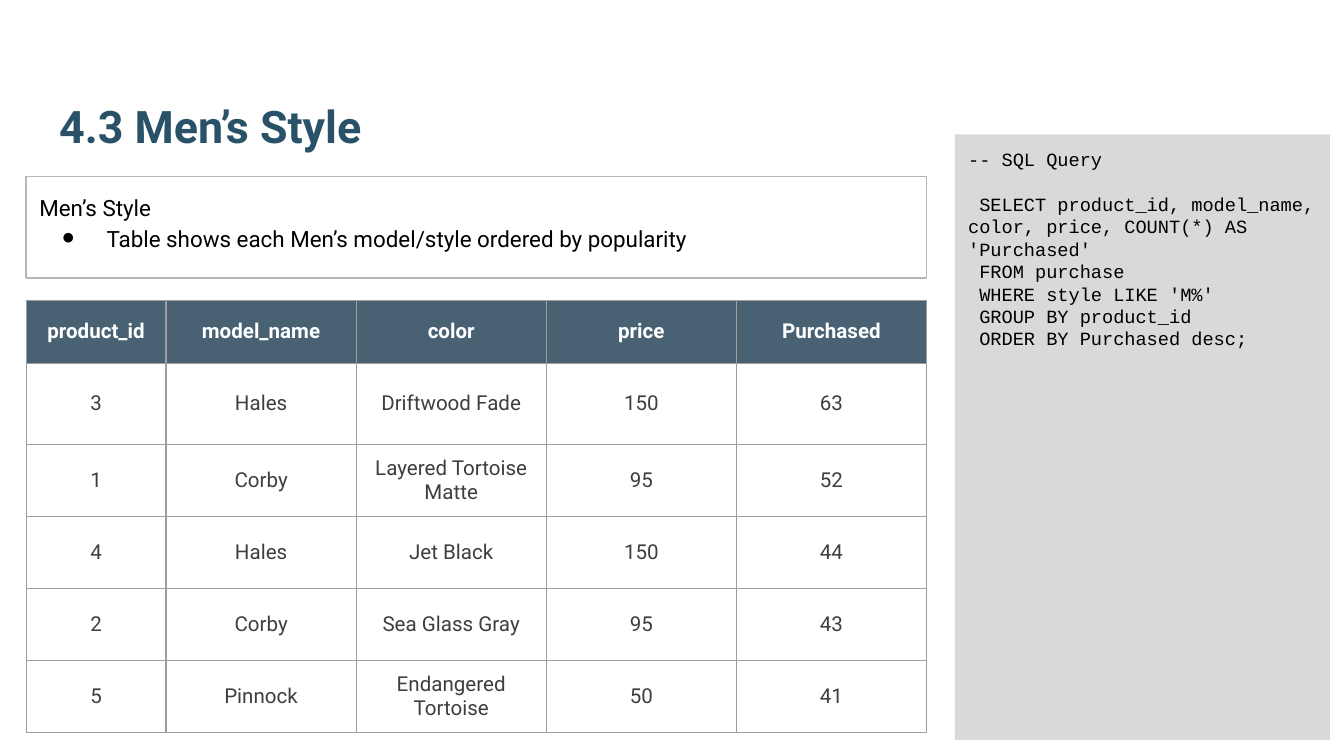
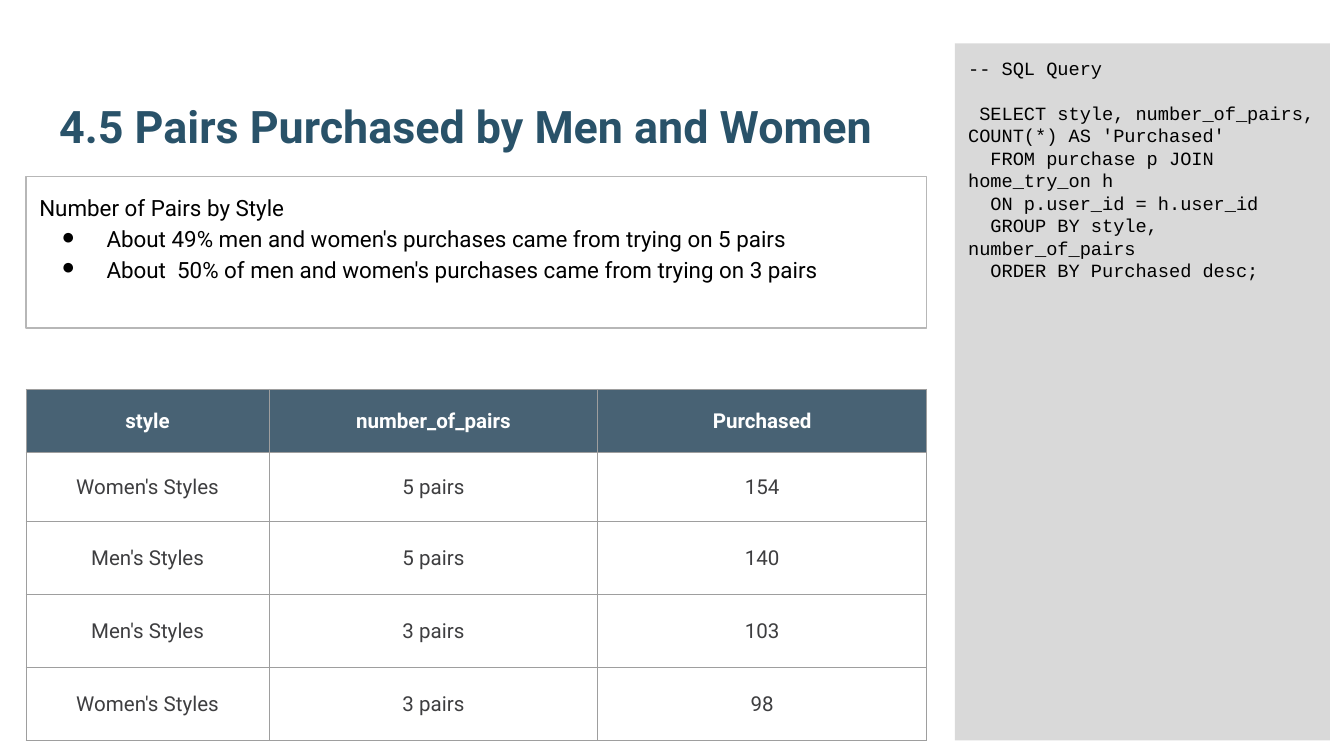
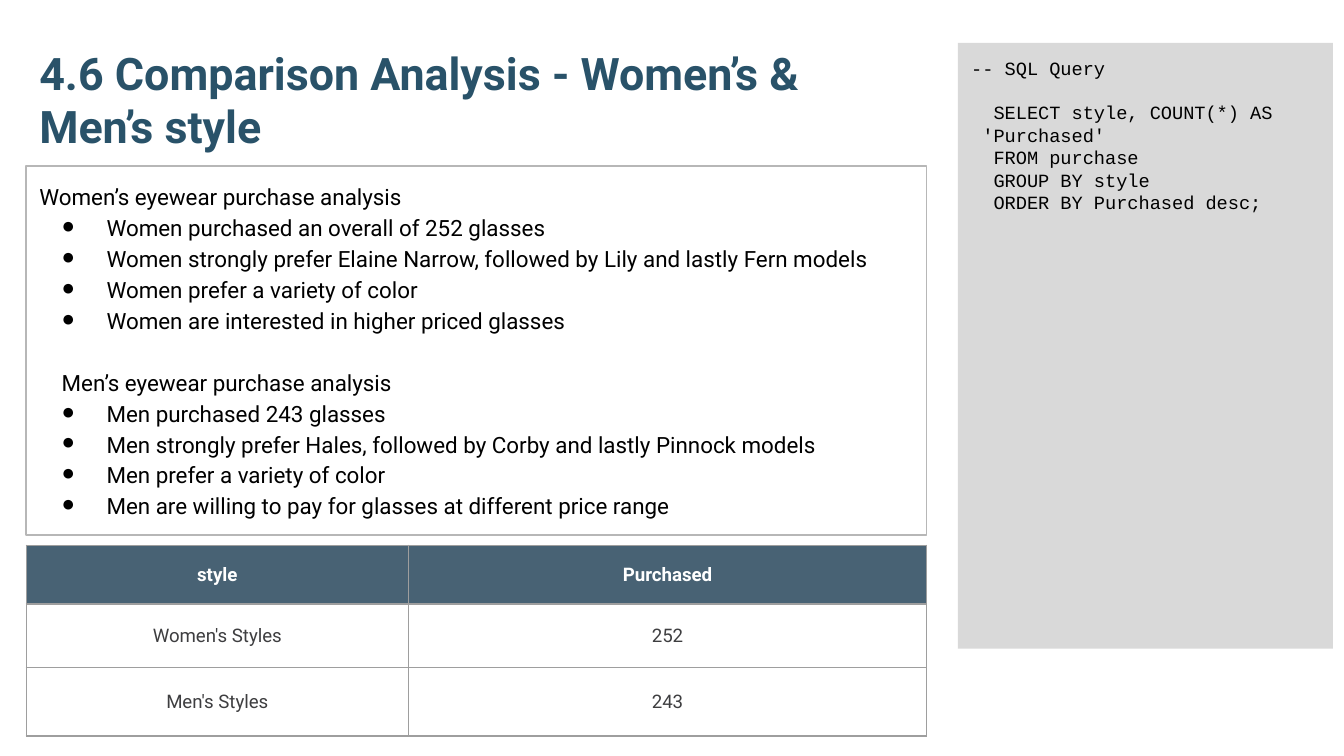
from lxml import etree
from pptx import Presentation
from pptx.dml.color import RGBColor
from pptx.enum.shapes import MSO_SHAPE
from pptx.enum.text import MSO_ANCHOR, PP_ALIGN
from pptx.oxml.ns import qn
from pptx.util import Pt

RECTANGLE = MSO_SHAPE.RECTANGLE
TOP, MIDDLE, BOTTOM = MSO_ANCHOR.TOP, MSO_ANCHOR.MIDDLE, MSO_ANCHOR.BOTTOM
ALIGN_LEFT, CENTER = PP_ALIGN.LEFT, PP_ALIGN.CENTER

# Shared colours and text formats
HEADER_FILL, HEADER_ALPHA = "204056", 82
GRID_COLOR, FRAME_COLOR, CODE_FILL = "9E9E9E", "B7B7B7", "D9D9D9"
BLACK = "000000"
BULLET_FONT = "Courier New"
TITLE_FONT = {"name": "Roboto", "size": Pt(24), "bold": True, "color": "295269"}
NOTE_FONT = {"name": "Roboto", "size": Pt(12), "bold": False, "color": BLACK}
CODE_FONT = {"name": "Courier New", "size": Pt(10), "bold": False, "color": BLACK}
HEADER_FONT = {"name": "Roboto", "bold": True, "color": "FFFFFF"}
BODY_FONT = {"name": "Roboto", "bold": False, "color": "3E3E40"}

# Shared geometry in points
LEFT, WIDTH = 14, 482.4
TITLE_TOP, TITLE_HEIGHT = 23.1, 65.9
CODE_WIDTH = 200.9
INSET, HEADER_INSET, BORDER = 7.2, 6, 0.75
BULLET_INDENT, BULLET_HANG, SUBHEAD_INDENT = 36, 24, 12
NOTE_LINE, CODE_LINE = 16.5, 12


def rgb(value):
    return RGBColor.from_string(value)


def set_all(target, values):
    for name, value in values.items():
        setattr(target, name, value)


def add_run(paragraph, text, font):
    run = paragraph.add_run()
    run.text = text
    set_all(run.font, {key: value for key, value in font.items() if key != "color"})
    run.font.color.rgb = rgb(font["color"])


def set_margins(target, inset):
    sides = ("left", "top", "right", "bottom")
    set_all(target, {f"margin_{side}": Pt(inset) for side in sides})


def prepare_frame(frame, anchor):
    set_margins(frame, INSET)
    set_all(frame, {"word_wrap": True, "vertical_anchor": anchor})


def paragraphs(frame, count):
    return [frame.paragraphs[0]] + [frame.add_paragraph() for _ in range(count - 1)]


def add_panel(slide, box):
    panel = slide.shapes.add_shape(RECTANGLE, *map(Pt, box))
    panel.shadow.inherit = False
    prepare_frame(panel.text_frame, TOP)
    return panel


def indent(paragraph, left, first=0):
    props = paragraph._p.get_or_add_pPr()
    props.set("marL", str(Pt(left)))
    props.set("indent", str(Pt(first)))
    return props


def add_bullet(paragraph):
    props = indent(paragraph, BULLET_INDENT, -BULLET_HANG)
    color = etree.SubElement(props, qn("a:buClr"))
    etree.SubElement(color, qn("a:srgbClr"), val=BLACK)
    etree.SubElement(props, qn("a:buFont"), typeface=BULLET_FONT)
    etree.SubElement(props, qn("a:buChar"), char="●")


def add_title(slide, text, left, width):
    box = (left, TITLE_TOP, width, TITLE_HEIGHT)
    frame = slide.shapes.add_textbox(*map(Pt, box)).text_frame
    prepare_frame(frame, BOTTOM)
    add_run(frame.paragraphs[0], text, TITLE_FONT)


def add_findings(slide, box, groups):
    """Framed panel with a heading and bullets for each group."""
    panel = add_panel(slide, box)
    panel.fill.background()
    panel.line.color.rgb = rgb(FRAME_COLOR)
    panel.line.width = Pt(BORDER)
    lines = [(number, position, text)
             for number, (heading, bullets) in enumerate(groups)
             for position, text in enumerate([heading, *bullets])]
    for paragraph, (number, position, text) in zip(
            paragraphs(panel.text_frame, len(lines)), lines):
        paragraph.alignment = ALIGN_LEFT
        paragraph.line_spacing = 1.15
        if position:
            add_bullet(paragraph)
        elif number:
            paragraph.space_before = Pt(NOTE_LINE)
            indent(paragraph, SUBHEAD_INDENT)
        add_run(paragraph, text, NOTE_FONT)


def add_query(slide, box, lines):
    """Grey panel with the query set one line below its caption."""
    panel = add_panel(slide, box)
    panel.fill.solid()
    panel.fill.fore_color.rgb = rgb(CODE_FILL)
    panel.line.fill.background()
    lines = ["-- SQL Query", *lines]
    for number, paragraph in enumerate(paragraphs(panel.text_frame, len(lines))):
        paragraph.alignment = ALIGN_LEFT
        if number == 1:
            paragraph.space_before = Pt(CODE_LINE)
        add_run(paragraph, lines[number], CODE_FONT)


def add_borders(cell):
    props = cell._tc.get_or_add_tcPr()
    for side in ("lnL", "lnR", "lnT", "lnB"):
        line = etree.SubElement(props, qn(f"a:{side}"), w=str(Pt(BORDER)))
        fill = etree.SubElement(line, qn("a:solidFill"))
        etree.SubElement(fill, qn("a:srgbClr"), val=GRID_COLOR)


def fill_header(cell):
    set_margins(cell, HEADER_INSET)
    cell.fill.solid()
    cell.fill.fore_color.rgb = rgb(HEADER_FILL)
    color = cell._tc.tcPr.find(qn("a:solidFill")).find(qn("a:srgbClr"))
    etree.SubElement(color, qn("a:alpha"), val=str(HEADER_ALPHA * 1000))


def add_results(slide, top, first_width, heights, size, rows):
    """Result table: the columns after the first share the rest evenly."""
    count = len(rows[0])
    box = (LEFT, top, WIDTH, sum(heights))
    table = slide.shapes.add_table(len(rows), count, *map(Pt, box)).table
    set_all(table, {"first_row": False, "horz_banding": False})
    other_width = (WIDTH - first_width) / (count - 1)
    for number, column in enumerate(table.columns):
        column.width = Pt(other_width if number else first_width)
    for row_number, (row, height) in enumerate(zip(table.rows, heights)):
        row.height = Pt(height)
        for cell, text in zip(row.cells, rows[row_number]):
            add_borders(cell)
            cell.vertical_anchor = MIDDLE
            if row_number:
                cell.fill.background()
            else:
                fill_header(cell)
            paragraph = cell.text_frame.paragraphs[0]
            paragraph.alignment = CENTER
            font = BODY_FONT if row_number else HEADER_FONT
            add_run(paragraph, text, {**font, "size": Pt(size)})


def build_mens_style(slide):
    add_title(slide, "4.3 Men’s Style", 24.6, 671)
    add_findings(slide, (LEFT, 94.5, WIDTH, 54.4), [
        ("Men’s Style", ["Table shows each Men’s model/style ordered by popularity"]),
    ])
    add_results(slide, 160.9, 75, [33.8, 43.4] + [38.6] * 4, 11, [
        ("product_id", "model_name", "color", "price", "Purchased"),
        ("3", "Hales", "Driftwood Fade", "150", "63"),
        ("1", "Corby", "Layered Tortoise Matte", "95", "52"),
        ("4", "Hales", "Jet Black", "150", "44"),
        ("2", "Corby", "Sea Glass Gray", "95", "43"),
        ("5", "Pinnock", "Endangered Tortoise", "50", "41"),
    ])
    add_query(slide, (511.6, 72, CODE_WIDTH, 324.6), [
        " SELECT product_id, model_name, color, price, COUNT(*) AS 'Purchased'",
        " FROM purchase",
        " WHERE style LIKE 'M%'",
        " GROUP BY product_id",
        " ORDER BY Purchased desc;",
    ])


def build_pairs(slide):
    add_title(slide, "4.5 Pairs Purchased by Men and Women", 24.6, 471.7)
    add_findings(slide, (LEFT, 94.5, WIDTH, 81.2), [
        ("Number of Pairs by Style", [
            "About 49% men and women's purchases came from trying on 5 pairs",
            "About  50% of men and women's purchases came from trying on 3 pairs",
        ]),
    ])
    add_results(slide, 208.7, 130.2, [33.8, 37] + [39.1] * 3, 11, [
        ("style", "number_of_pairs", "Purchased"),
        ("Women's Styles", "5 pairs", "154"),
        ("Men's Styles", "5 pairs", "140"),
        ("Men's Styles", "3 pairs", "103"),
        ("Women's Styles", "3 pairs", "98"),
    ])
    add_query(slide, (511.6, 23.3, CODE_WIDTH, 373.4), [
        " SELECT style, number_of_pairs, COUNT(*) AS 'Purchased'",
        "  FROM purchase p JOIN home_try_on h",
        "  ON p.user_id = h.user_id",
        "  GROUP BY style, number_of_pairs",
        "  ORDER BY Purchased desc;",
    ])


def build_comparison(slide):
    add_title(slide, "4.6 Comparison Analysis - Women’s & Men’s style", LEFT, WIDTH)
    add_findings(slide, (LEFT, 89, WIDTH, 197.7), [
        ("Women’s eyewear purchase analysis", [
            "Women purchased an overall of 252 glasses",
            "Women strongly prefer Elaine Narrow, followed by Lily and lastly Fern models",
            "Women prefer a variety of color",
            "Women are interested in higher priced glasses",
        ]),
        ("Men’s eyewear purchase analysis", [
            "Men purchased 243 glasses",
            "Men strongly prefer Hales, followed by Corby and lastly Pinnock models",
            "Men prefer a variety of color",
            "Men are willing to pay for glasses at different price range",
        ]),
    ])
    add_results(slide, 292.1, 204.8, [31.5, 34.2, 36.5], 10, [
        ("style", "Purchased"),
        ("Women's Styles", "252"),
        ("Men's Styles", "243"),
    ])
    add_query(slide, (513.2, 23, CODE_WIDTH, 324.6), [
        "  SELECT style, COUNT(*) AS      'Purchased'",
        "  FROM purchase",
        "  GROUP BY style",
        "  ORDER BY Purchased desc;",
    ])


def main():
    deck = Presentation()
    set_all(deck, {"slide_width": Pt(720), "slide_height": Pt(405)})
    for build in (build_mens_style, build_pairs, build_comparison):
        build(deck.slides.add_slide(deck.slide_layouts[6]))
    deck.save("out.pptx")


if __name__ == "__main__":
    main()
